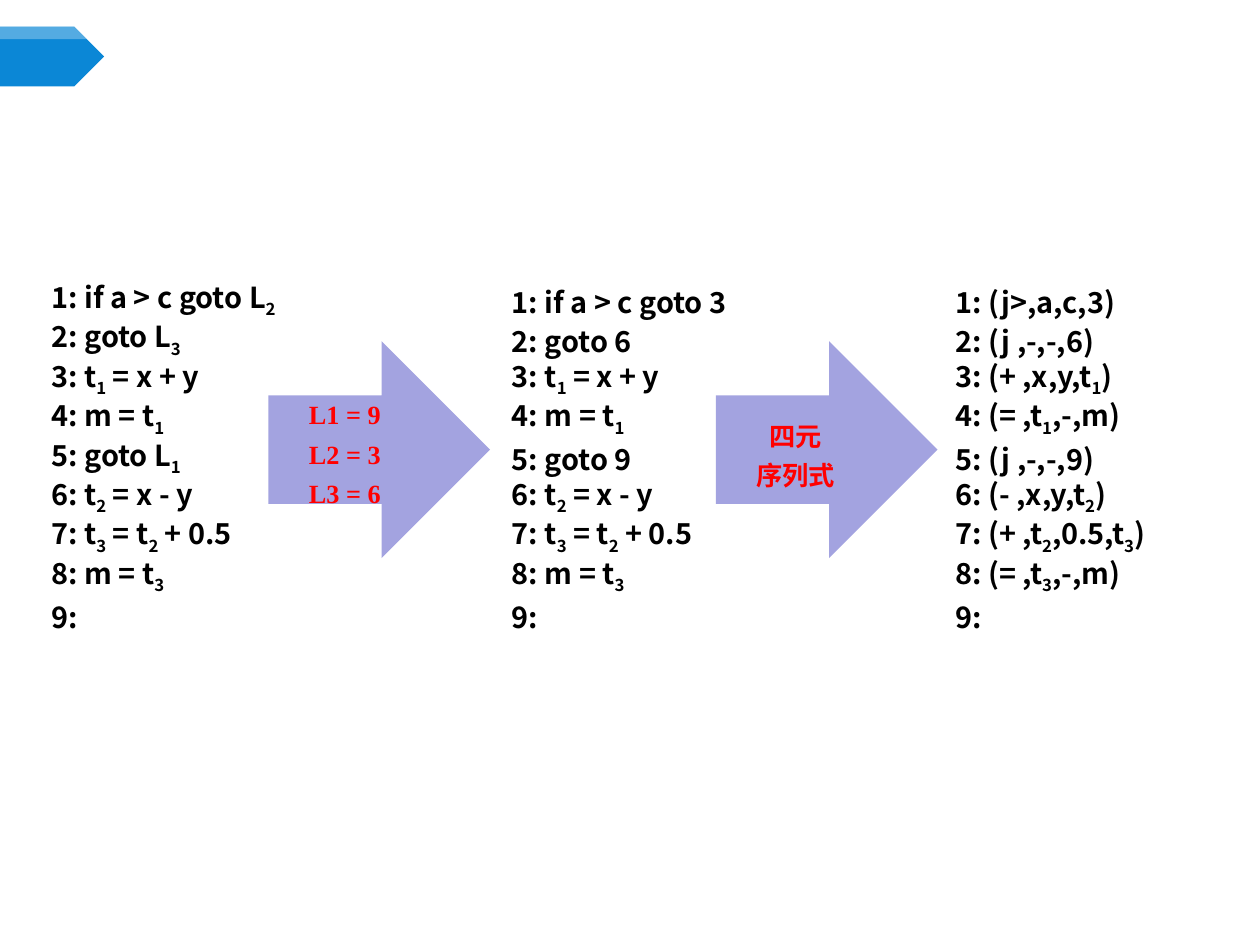
import pptx
import pptx.dml.color
import pptx.enum.shapes
import pptx.enum.text
import pptx.oxml
import pptx.oxml.ns
import pptx.util
from pptx.util import Cm

CODE_FONT = "Noto Sans CJK SC"
LABEL_FONT = "Times New Roman"
HANGING = 0.56
COLUMN_TOP = 5.56
ARROW_TOP = 6.88

LABELLED_CODE = [
    "1: if a > c goto L_2", "2: goto L_3", "3: t_1 = x + y",
    "4: m = t_1", "5: goto L_1", "6: t_2 = x - y",
    "7: t_3 = t_2 + 0.5", "8: m = t_3", "9:",
]
NUMBERED_CODE = [
    "1: if a > c goto 3", "2: goto 6", *LABELLED_CODE[2:4],
    "5: goto 9", *LABELLED_CODE[5:],
]
QUADRUPLES = [
    "1: (j>,a,c,3)", "2: (j ,-,-,6)", "3: (+ ,x,y,t_1)",
    "4: (= ,t_1,-,m)", "5: (j ,-,-,9)", "6: (- ,x,y,t_2)",
    "7: (+ ,t_2,0.5,t_3)", "8: (= ,t_3,-,m)", "9:",
]


def color(value):
    return pptx.dml.color.RGBColor.from_string(value)


def paint(shape, fill, opacity=100):
    shape.shadow.inherit = False
    shape.fill.solid()
    shape.fill.fore_color.rgb = color(fill)
    shape.line.fill.background()
    if opacity < 100:
        source = shape.fill._xPr.find(".//" + pptx.oxml.ns.qn("a:srgbClr"))
        alpha = source.makeelement(pptx.oxml.ns.qn("a:alpha"), {"val": str(opacity * 1000)})
        source.append(alpha)


def add_run(paragraph, text, size, font_name, font_color, subscript=False):
    run = paragraph.add_run()
    run.text = text
    run.font.size = pptx.util.Pt(size)
    run.font.name = font_name
    run.font.bold = True
    run.font.color.rgb = color(font_color)
    properties = run.font._element
    east_asian = properties.makeelement(pptx.oxml.ns.qn("a:ea"), {"typeface": CODE_FONT})
    properties.find(pptx.oxml.ns.qn("a:latin")).addnext(east_asian)
    if subscript:
        properties.set("baseline", "-25000")


def add_lines(shapes, left, top, width, height, lines, size, font_name, font_color, first_offset=0):
    box = shapes.add_textbox(Cm(left), Cm(top), Cm(width), Cm(height))
    frame = box.text_frame
    frame.word_wrap = True
    frame.vertical_anchor = pptx.enum.text.MSO_ANCHOR.TOP
    frame.margin_left = frame.margin_right = Cm(0.16)
    frame.margin_top = frame.margin_bottom = Cm(0.08)
    for index, line in enumerate(lines):
        paragraph = frame.paragraphs[0] if index == 0 else frame.add_paragraph()
        paragraph.alignment = pptx.enum.text.PP_ALIGN.JUSTIFY
        paragraph.line_spacing = pptx.util.Pt(22.5)
        offset = first_offset if index == 0 else 0
        properties = paragraph._p.get_or_add_pPr()
        properties.set("marL", str(Cm(HANGING)))
        properties.set("indent", str(Cm(offset - HANGING)))
        start, *parts = line.split("_")
        add_run(paragraph, start, size, font_name, font_color)
        for part in parts:
            add_run(paragraph, part[0], size, font_name, font_color, subscript=True)
            if part[1:]:
                add_run(paragraph, part[1:], size, font_name, font_color)


def add_code_column(slide, left, lines):
    add_lines(slide.shapes, left, COLUMN_TOP, 7.24, 7.9, lines, 16.5, CODE_FONT, "000000")


def add_labelled_arrow(slide, left, label_top, lines, first_offset=0):
    group = slide.shapes.add_group_shape()
    arrow = group.shapes.add_shape(
        pptx.enum.shapes.MSO_SHAPE.RIGHT_ARROW, Cm(left), Cm(ARROW_TOP), Cm(4.47), Cm(4.37))
    paint(arrow, "A3A3E0")
    add_lines(group.shapes, left + 0.66, label_top, 2.06, 2.57, lines,
              15, LABEL_FONT, "FF0000", first_offset)


def add_title_tag(slide):
    group = slide.shapes.add_group_shape()
    tag = group.shapes.add_shape(
        pptx.enum.shapes.MSO_SHAPE.PENTAGON, Cm(0), Cm(0.54), Cm(2.1), Cm(1.2))
    paint(tag, "0B87D6")
    builder = group.shapes.build_freeform(Cm(0), Cm(0.54))
    corners = [(1.5, 0.54), (1.75, 0.79), (0, 0.79)]
    builder.add_line_segments([(Cm(x), Cm(y)) for x, y in corners], close=True)
    paint(builder.convert_to_shape(), "FFFFFF", opacity=30)


def main():
    presentation = pptx.Presentation()
    presentation.slide_width = Cm(25.4)
    presentation.slide_height = Cm(19.05)
    slide = presentation.slides.add_slide(presentation.slide_layouts[6])
    add_title_tag(slide)
    add_code_column(slide, 0.88, LABELLED_CODE)
    add_code_column(slide, 10.16, NUMBERED_CODE)
    add_code_column(slide, 19.1, QUADRUPLES)
    add_labelled_arrow(slide, 5.41, 7.8, ["L1 = 9", "L2 = 3", "L3 = 6"])
    add_labelled_arrow(slide, 14.43, 8.23, ["四元", "序列式"], first_offset=0.26)
    presentation.save("out.pptx")


if __name__ == "__main__":
    main()
